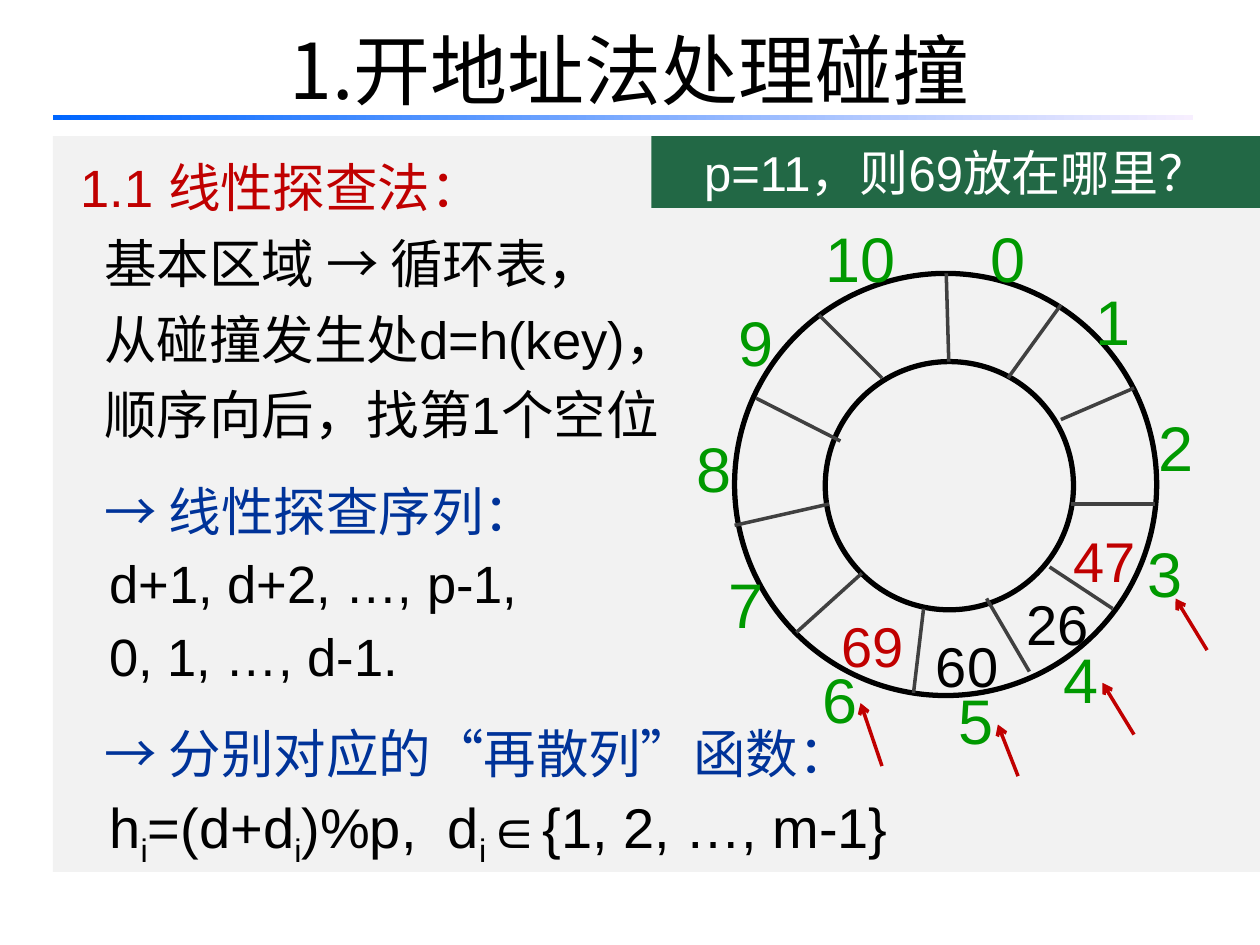
import pptx
import pptx.dml.color
import pptx.enum.shapes
import pptx.enum.text
import pptx.oxml.ns
import pptx.util
import lxml.etree

RGB = pptx.dml.color.RGBColor
SHAPE = pptx.enum.shapes.MSO_SHAPE
ALIGN = pptx.enum.text.PP_ALIGN
ANCHOR = pptx.enum.text.MSO_ANCHOR
Pt = pptx.util.Pt
qn = pptx.oxml.ns.qn

BLACK = RGB(0, 0, 0)
WHITE = RGB(255, 255, 255)
GRAY = RGB(0x40, 0x40, 0x40)
PALE = RGB(0xF2, 0xF2, 0xF2)
RED = RGB(0xC0, 0, 0)
NAVY = RGB(0, 0x33, 0x99)
GREEN = RGB(0, 0x99, 0)
DARK = RGB(0x22, 0x68, 0x45)
BLUE = RGB(0, 0x66, 0xFF)
LILAC = RGB(0xF7, 0xEF, 0xFF)
LATIN = "Arial"
HAN = "Noto Sans CJK SC"
SCALE = 9144


def px(*vals):
    return [v * SCALE for v in vals]


def write(para, text, size=30, color=BLACK, face=LATIN, bold=None, base=0):
    run = para.add_run()
    run.text = text
    font = run.font
    font.size, font.name, font.bold = Pt(size), face, bold
    font.color.rgb = color
    props = run._r.get_or_add_rPr()
    if base:
        props.set("baseline", str(base * 1000))
    lxml.etree.SubElement(props, qn("a:ea")).set("typeface", HAN)


class Deck:
    """Hold the style and the current slide."""

    def __init__(self, wide, high):
        self.file = pptx.Presentation()
        self.file.slide_width, self.file.slide_height = px(wide, high)
        self.slide = self.file.slides.add_slide(self.file.slide_layouts[5])
        self.shapes = self.slide.shapes

    def title(self, text, box):
        head = self.shapes.title
        head.left, head.top, head.width, head.height = px(*box)
        frame = head.text_frame
        frame.vertical_anchor = ANCHOR.MIDDLE
        para = frame.paragraphs[0]
        para.alignment = ALIGN.CENTER
        write(para, text, size=44, face=HAN)

    def shape(self, kind, box, fill=None, line=None):
        item = self.shapes.add_shape(kind, *px(*box))
        item.shadow.inherit = False
        if fill:
            item.fill.solid()
            item.fill.fore_color.rgb = fill
        else:
            item.fill.background()
        if line:
            item.line.color.rgb = line
            item.line.width = Pt(3)
        else:
            item.line.fill.background()
        item.text_frame.vertical_anchor = ANCHOR.TOP
        return item

    def fade(self, box, start, end):
        fill = self.shape(SHAPE.RECTANGLE, box).fill
        fill.gradient()
        fill.gradient_angle = 0
        for stop, color in zip(fill.gradient_stops, (start, end)):
            stop.color.rgb = color

    def para(self, frame, indent, space, before=0):
        para = frame.paragraphs[0]
        if para.runs:
            para = frame.add_paragraph()
        para.alignment = ALIGN.LEFT
        para.line_spacing = Pt(space)
        para.space_before = Pt(before)
        para._p.get_or_add_pPr().set("marL", str(indent * SCALE))
        return para

    def label(self, text, box, align, anchor, space, inset=10, **fmt):
        frame = self.shapes.add_textbox(*px(*box)).text_frame
        frame.word_wrap = False
        frame.vertical_anchor = anchor
        frame.margin_left, frame.margin_right = px(inset, inset)
        para = frame.paragraphs[0]
        para.alignment, para.line_spacing = align, space
        write(para, text, **fmt)

    def line(self, ends, color, arrow=False):
        kind = pptx.enum.shapes.MSO_CONNECTOR.STRAIGHT
        item = self.shapes.add_connector(kind, *px(*ends))
        item.line.color.rgb = color
        item.line.width = Pt(2)
        if arrow:
            tail = lxml.etree.SubElement(item.line._get_or_add_ln(), qn("a:tailEnd"))
            tail.set("type", "arrow")
        lxml.etree.SubElement(item._element.spPr, qn("a:effectLst"))


def main():
    deck = Deck(1000, 750)
    deck.title("1.开地址法处理碰撞", (50, -8, 900, 125))
    deck.fade((42, 91, 905, 4), BLUE, LILAC)

    body = deck.shape(SHAPE.RECTANGLE, (42, 108, 958, 584), PALE).text_frame
    rows = [
        ("1.1 线性探查法：", RED, 12, 43.3, 0),
        ("基本区域 → 循环表，", BLACK, 31, 43.3, 0),
        ("从碰撞发生处d=h(key)，", BLACK, 31, 43.3, 0),
        ("顺序向后，找第1个空位", BLACK, 31, 43.3, 0),
        ("→ 线性探查序列：", NAVY, 31, 43.3, 12),
        ("d+1, d+2, …, p-1,", BLACK, 35, 41.3, 0),
        ("0, 1, …, d-1.", BLACK, 35, 41.3, 0),
        ("→ 分别对应的“再散列”函数：", NAVY, 31, 43.3, 12),
    ]
    for text, color, indent, space, before in rows:
        write(deck.para(body, indent, space, before), text, color=color)
    rule = deck.para(body, 35, 49)
    for part in ("h", "=(d+d", ")%p,  d"):
        write(rule, part, size=32)
        write(rule, "i", size=32, base=-25)
    write(rule, "∈", size=32, bold=True)
    write(rule, "{1, 2, …, m-1}", size=32)

    for box in ((655, 287, 197, 197), (583, 217, 335, 335)):
        deck.shape(SHAPE.OVAL, box, line=BLACK)

    spots = [
        (775, 183), (858, 233), (908, 333), (900, 433), (833, 517), (750, 550),
        (642, 533), (567, 458), (542, 350), (575, 250), (658, 183),
    ]
    for slot, (left, top) in enumerate(spots):
        text = str(slot)
        pad = 10 * (len(text) - 1)
        deck.label(text, (left - pad, top, 50 + 2 * pad, 50), ALIGN.CENTER,
                   ANCHOR.MIDDLE, 0.9, inset=0, size=36, color=GREEN)

    spokes = [
        (751, 217, 753, 287), (842, 242, 800, 300), (900, 308, 842, 333),
        (917, 400, 850, 400), (883, 483, 833, 450), (783, 475, 817, 533),
        (725, 550, 733, 483), (632, 502, 684, 455), (583, 417, 658, 400),
        (600, 316, 667, 350), (650, 250, 700, 300),
    ]
    for ends in spokes:
        deck.line(ends, GRAY)

    keys = [
        ("47", 842, 400, RED), ("26", 805, 450, BLACK),
        ("60", 733, 483, BLACK), ("69", 658, 467, RED),
    ]
    for text, left, top, color in keys:
        deck.label(text, (left, top, 70, 71), ALIGN.LEFT, ANCHOR.TOP,
                   1.25, size=32, color=color)

    quiz = deck.shape(SHAPE.RECTANGLE, (517, 108, 483, 57), DARK).text_frame
    write(deck.para(quiz, 32, 34), "p=11，则69放在哪里？", size=28, color=WHITE)

    probes = [
        (958, 516, 933, 475), (900, 583, 875, 542),
        (808, 616, 792, 575), (700, 608, 683, 558),
    ]
    for ends in probes:
        deck.line(ends, RED, arrow=True)

    deck.file.save("out.pptx")


if __name__ == "__main__":
    main()
